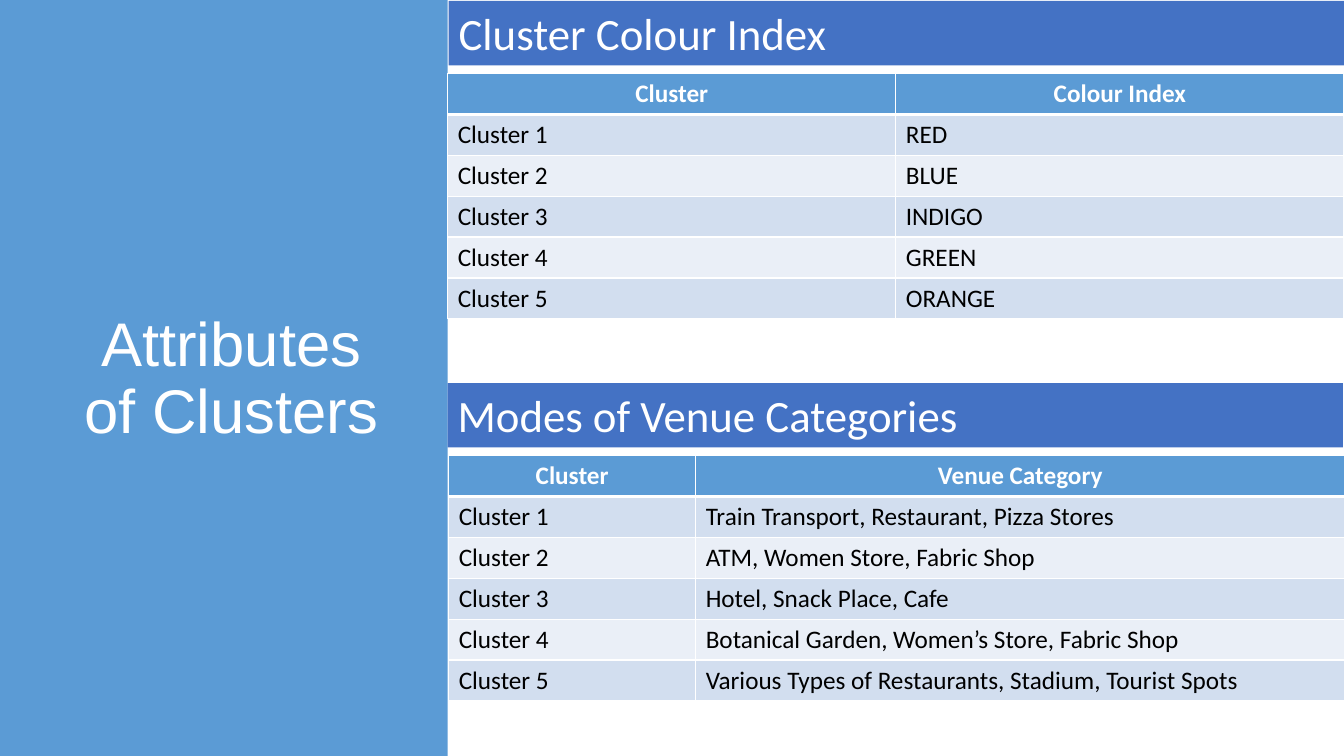
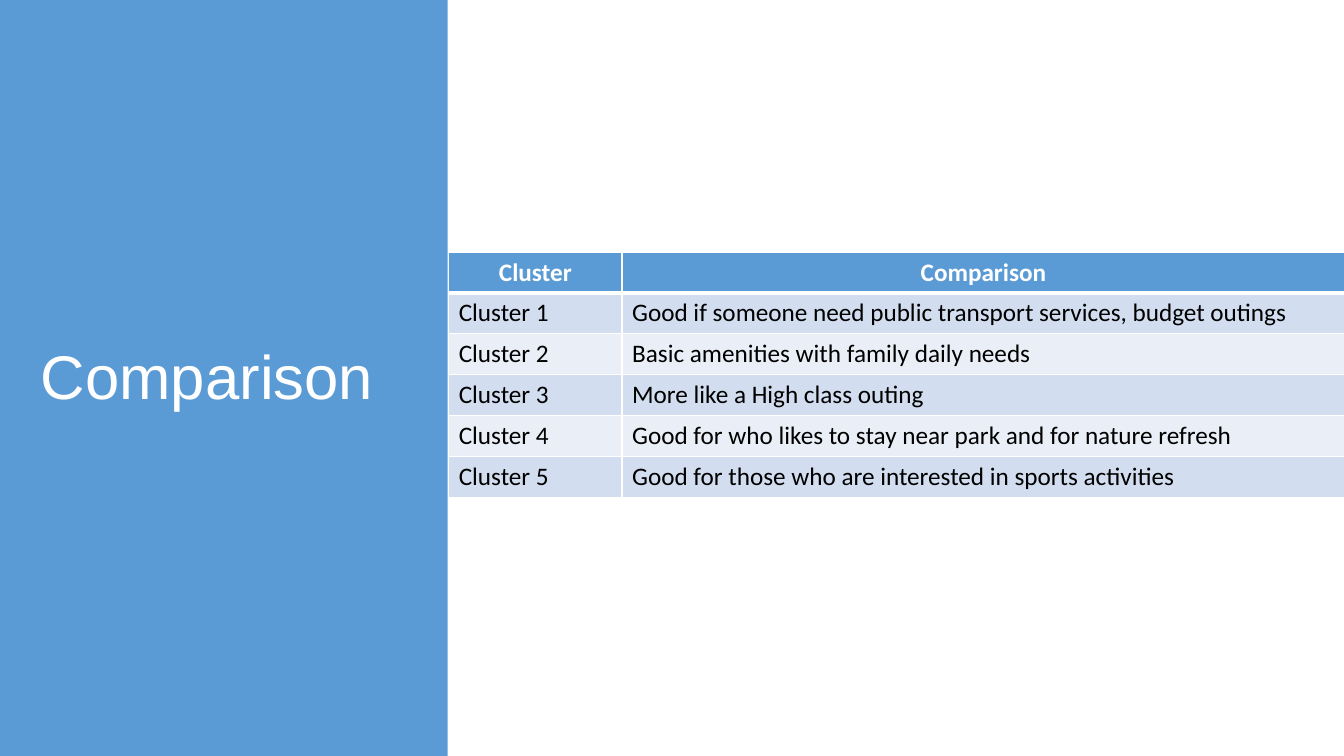
from dataclasses import dataclass

from lxml import etree
from pptx import Presentation
from pptx.dml.color import RGBColor
from pptx.enum import shapes, text
from pptx.oxml import ns
from pptx.util import Inches, Pt

# Shared look
WHITE = RGBColor(0xFF, 0xFF, 0xFF)
BLACK = RGBColor(0x00, 0x00, 0x00)
PANEL_BLUE = RGBColor(0x5B, 0x9B, 0xD5)
BAND_BLUE = RGBColor(0x44, 0x72, 0xC4)
ROW_TINTS = (RGBColor(0xD2, 0xDE, 0xEF), RGBColor(0xEA, 0xEF, 0xF7))
TITLE_FONT, BODY_FONT = "Arial", "Calibri"
CONTENT_LEFT, CONTENT_WIDTH = 4.45, 8.89
ROW_HEIGHT = 0.405
THIN, THICK = 1, 3


@dataclass
class Band:
    caption: str
    left: float
    top: float


@dataclass
class ClusterTable:
    heading: str
    values: list[str]
    left: float
    top: float
    cluster_width: float


@dataclass
class Page:
    title: str
    title_left: float
    title_width: float
    tables: list[ClusterTable]
    bands: list[Band]


PAGES = [
    Page(
        "Attributes of Clusters", 0.7, 3.19,
        [
            ClusterTable(
                "Venue Category",
                [
                    "Train Transport, Restaurant, Pizza Stores",
                    "ATM, Women Store, Fabric Shop",
                    "Hotel, Snack Place, Cafe",
                    "Botanical Garden, Women’s Store, Fabric Shop",
                    "Various Types of Restaurants, Stadium, Tourist Spots",
                ],
                CONTENT_LEFT, 4.52, 2.45,
            ),
            ClusterTable(
                "Colour Index",
                ["RED", "BLUE", "INDIGO", "GREEN", "ORANGE"],
                4.44, 0.73, CONTENT_WIDTH / 2,
            ),
        ],
        [
            Band("Cluster Colour Index", CONTENT_LEFT, 0.01),
            Band("Modes of Venue Categories", 4.44, 3.8),
        ],
    ),
    Page(
        "Comparison", 0.21, 3.69,
        [
            ClusterTable(
                "Comparison",
                [
                    "Good if someone need public transport services, budget outings",
                    "Basic amenities with family daily needs",
                    "More like a High class outing",
                    "Good for who likes to stay near park and for nature refresh",
                    "Good for those who are interested in sports activities",
                ],
                CONTENT_LEFT, 2.5, 1.72,
            ),
        ],
        [],
    ),
]


def add_block(slide, left: float, top: float, width: float, height: float, color: RGBColor):
    """Add a plain filled rectangle."""
    block = slide.shapes.add_shape(
        shapes.MSO_SHAPE.RECTANGLE,
        Inches(left), Inches(top), Inches(width), Inches(height),
    )
    block.shadow.inherit = False
    block.fill.solid()
    block.fill.fore_color.rgb = color
    block.line.fill.background()
    return block


def style_paragraph(para, font_name: str, size: int, color: RGBColor, align, bold: bool = False) -> None:
    para.alignment = align
    para.font.name = font_name
    para.font.size = Pt(size)
    para.font.bold = bold
    para.font.color.rgb = color


def set_title(slide, page: Page) -> None:
    """Place the title over the side panel."""
    panel = add_block(slide, -0.01, 0, 4.45, 7.5, PANEL_BLUE)
    title = slide.shapes.title
    title.element.addprevious(panel.element)
    title.left, title.top = Inches(page.title_left), Inches(0.7)
    title.width, title.height = Inches(page.title_width), Inches(6.14)
    frame = title.text_frame
    frame.text = page.title
    frame.word_wrap = True
    frame.auto_size = text.MSO_AUTO_SIZE.NONE
    frame.vertical_anchor = text.MSO_ANCHOR.MIDDLE
    para = frame.paragraphs[0]
    para.line_spacing = 0.9
    style_paragraph(para, TITLE_FONT, 44, WHITE, text.PP_ALIGN.CENTER)


def add_band(slide, band: Band) -> None:
    box = add_block(slide, band.left, band.top, 8.88, 0.64, BAND_BLUE)
    frame = box.text_frame
    frame.text = band.caption
    frame.word_wrap = True
    frame.vertical_anchor = text.MSO_ANCHOR.TOP
    style_paragraph(frame.paragraphs[0], BODY_FONT, 32, WHITE, text.PP_ALIGN.LEFT)


def set_borders(cell, top: int, bottom: int) -> None:
    """Draw white cell borders, widths in points."""
    properties = cell._tc.get_or_add_tcPr()
    for side, width in (("L", THIN), ("R", THIN), ("T", top), ("B", bottom)):
        line = etree.SubElement(properties, ns.qn(f"a:ln{side}"), w=str(Pt(width)))
        fill = etree.SubElement(line, ns.qn("a:solidFill"))
        etree.SubElement(fill, ns.qn("a:srgbClr"), val=str(WHITE))


def fill_cell(cell, content: str, row: int) -> None:
    is_header = row == 0
    set_borders(cell, THICK if row == 1 else THIN, THICK if is_header else THIN)
    cell.fill.solid()
    cell.fill.fore_color.rgb = PANEL_BLUE if is_header else ROW_TINTS[(row - 1) % 2]
    cell.text = content
    style_paragraph(
        cell.text_frame.paragraphs[0], BODY_FONT, 18,
        WHITE if is_header else BLACK,
        text.PP_ALIGN.CENTER if is_header else text.PP_ALIGN.LEFT,
        bold=is_header,
    )


def add_cluster_table(slide, data: ClusterTable) -> None:
    rows = [("Cluster", data.heading)]
    rows += [(f"Cluster {number}", value) for number, value in enumerate(data.values, 1)]
    table = slide.shapes.add_table(
        len(rows), 2, Inches(data.left), Inches(data.top),
        Inches(CONTENT_WIDTH), Inches(ROW_HEIGHT * len(rows)),
    ).table
    table.columns[0].width = Inches(data.cluster_width)
    table.columns[1].width = Inches(CONTENT_WIDTH - data.cluster_width)
    for row, contents in enumerate(rows):
        for column, content in enumerate(contents):
            fill_cell(table.cell(row, column), content, row)


def main() -> None:
    deck = Presentation()
    deck.slide_width, deck.slide_height = Inches(13.33), Inches(7.5)
    title_only = deck.slide_layouts[5]
    for page in PAGES:
        slide = deck.slides.add_slide(title_only)
        set_title(slide, page)
        for data in page.tables:
            add_cluster_table(slide, data)
        for band in page.bands:
            add_band(slide, band)
    deck.save("out.pptx")


if __name__ == "__main__":
    main()
